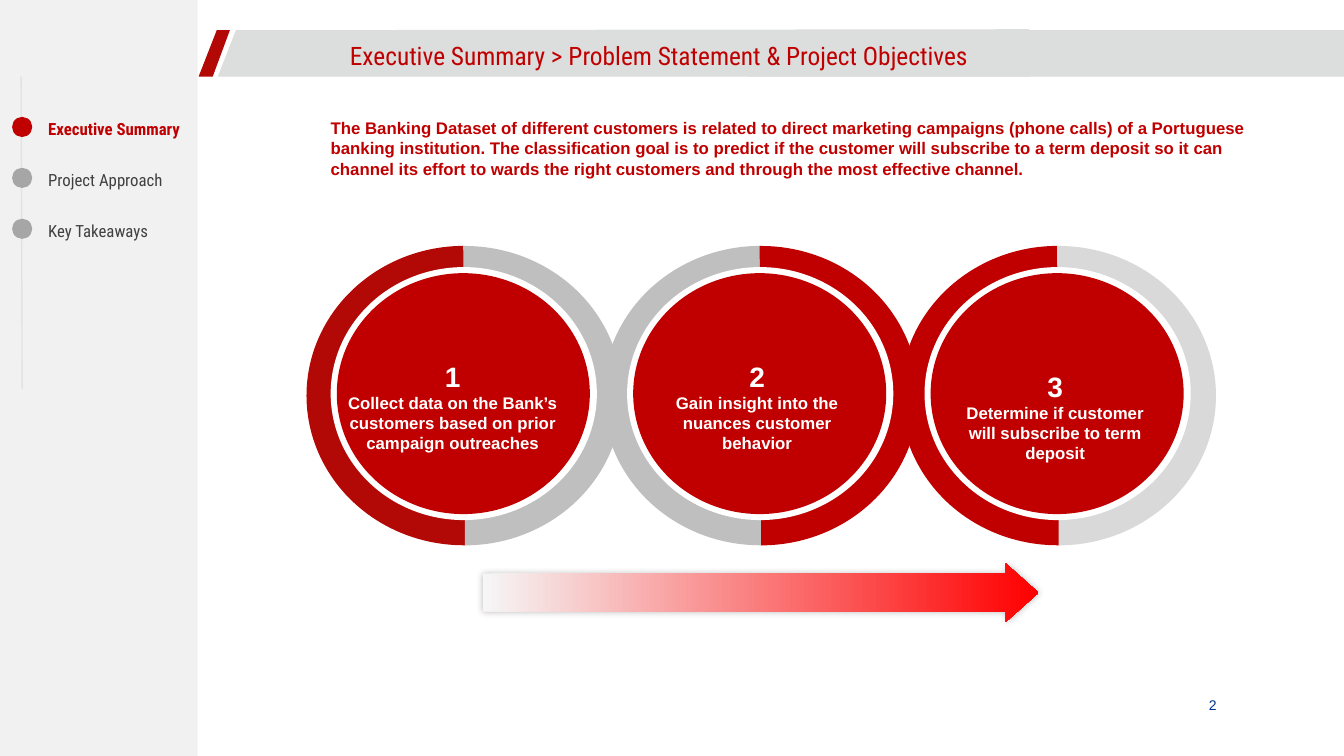
from dataclasses import dataclass

from lxml import etree
from pptx import Presentation
from pptx.dml.color import RGBColor
from pptx.enum.shapes import MSO_CONNECTOR, MSO_SHAPE
from pptx.enum.text import MSO_ANCHOR, MSO_AUTO_SIZE, PP_ALIGN
from pptx.oxml import parse_xml
from pptx.oxml.ns import nsdecls, qn
from pptx.util import Emu, Inches, Pt

RECT, ELLIPSE, PIE = MSO_SHAPE.RECTANGLE, MSO_SHAPE.OVAL, MSO_SHAPE.PIE
RIGHT_ARROW = MSO_SHAPE.RIGHT_ARROW
TOP, MIDDLE = MSO_ANCHOR.TOP, MSO_ANCHOR.MIDDLE
LEFT, CENTER = PP_ALIGN.LEFT, PP_ALIGN.CENTER


@dataclass(frozen=True)
class Theme:
    red: str = "C00000"
    dark_red: str = "B30906"
    bright_red: str = "FF0000"
    sidebar: str = "F1F1F1"
    band: str = "DCDDDD"
    grey: str = "A6A6A6"
    ring_grey: str = "BFBFBF"
    ring_light: str = "D9D9D9"
    fade: str = "F6F6F6"
    ink: str = "404040"
    navy: str = "00338D"
    white: str = "FFFFFF"
    heading_font: str = "Roboto Condensed"
    body_font: str = "Arial"
    title_size: float = 18.1
    number_size: float = 20
    body_size: float = 12
    page_size: float = 10


class SlideBuilder:
    def __init__(self, slide, theme):
        self.shapes = slide.shapes
        self.theme = theme

    def paint(self, shape, color):
        shape.shadow.inherit = False
        shape.fill.solid()
        shape.fill.fore_color.rgb = RGBColor.from_string(color)
        shape.line.fill.background()

    def shape(self, preset, box, color, rotation=0, adjustments=()):
        shape = self.shapes.add_shape(preset, *map(Inches, box))
        self.paint(shape, color)
        shape.rotation = rotation
        for index, value in enumerate(adjustments):
            shape.adjustments[index] = value
        return shape

    def outline(self, points, color):
        start, *rest = [(Inches(x), Inches(y)) for x, y in points]
        builder = self.shapes.build_freeform(*start)
        builder.add_line_segments(rest)
        self.paint(builder.convert_to_shape(), color)

    def faint_line(self, start, end, color, opacity):
        line = self.shapes.add_connector(
            MSO_CONNECTOR.STRAIGHT, *map(Inches, start + end))
        line.line.width = Pt(1)
        line.line.color.rgb = RGBColor.from_string(color)
        properties = line._element.spPr
        rgb = properties.find(".//" + qn("a:srgbClr"))
        etree.SubElement(rgb, qn("a:alpha"), val=str(opacity * 1000))
        etree.SubElement(properties, qn("a:effectLst"))

    def fading_arrow(self, box, start_color, end_color, adjustments):
        arrow = self.shape(RIGHT_ARROW, box, end_color, adjustments=adjustments)
        arrow.fill.gradient()
        arrow.fill.gradient_angle = 0
        colors = (start_color, end_color)
        for position, (stop, color) in enumerate(zip(arrow.fill.gradient_stops, colors)):
            stop.position = position
            stop.color.rgb = RGBColor.from_string(color)
        effects = arrow._element.spPr.find(qn("a:effectLst"))
        effects.append(parse_xml(
            f'<a:outerShdw {nsdecls("a")} blurRad="63500" dist="0" algn="ctr" '
            'rotWithShape="0"><a:srgbClr val="000000"><a:alpha val="25000"/>'
            '</a:srgbClr></a:outerShdw>'))

    def text(self, box, lines, color, size, font, bold=False, align=LEFT,
             anchor=TOP, insets=(0, 0, 0, 0), wrap=True, grow=False):
        frame = self.shapes.add_textbox(*map(Inches, box)).text_frame
        frame.word_wrap = wrap
        frame.auto_size = MSO_AUTO_SIZE.SHAPE_TO_FIT_TEXT if grow else MSO_AUTO_SIZE.NONE
        frame.vertical_anchor = anchor
        (frame.margin_left, frame.margin_top,
         frame.margin_right, frame.margin_bottom) = map(Inches, insets)
        frame.text = "\n".join(lines)
        for paragraph in frame.paragraphs:
            paragraph.alignment = align
            paragraph.font.name = font
            paragraph.font.size = Pt(size)
            paragraph.font.bold = bold
            paragraph.font.color.rgb = RGBColor.from_string(color)
        return frame

    def header(self, title):
        theme = self.theme
        self.outline([(2.16, 0.76), (2.34, 0.3), (10.21, 0.29), (10.21, 0.76)], theme.band)
        self.outline([(2.15, 0.3), (2.28, 0.3), (2.11, 0.76), (1.97, 0.76)], theme.dark_red)
        self.shape(RECT, (7.42, 0.3, 5.91, 0.46), theme.band)
        self.text((3.47, 0.39, 8.19, 0.32), [title], theme.red, theme.title_size,
                  theme.heading_font, anchor=MIDDLE, insets=(0, 0.05, 0.1, 0.05))

    def agenda(self, entries, current):
        theme = self.theme
        self.faint_line((0.21, 0.76), (0.22, 3.86), theme.grey, 20)
        for index, entry in enumerate(entries):
            active = entry == current
            top = 1.13 + index * 0.505
            self.text((0.38, top, 1.57, 0.3), [entry], theme.red if active else theme.ink,
                      theme.body_size, theme.heading_font, bold=active,
                      insets=(0.1, 0.05, 0.1, 0.05), wrap=False, grow=True)
            self.shape(ELLIPSE, (0.12, top + 0.03, 0.2, 0.2),
                       theme.red if active else theme.grey)

    def ring(self, left, left_color, right_color):
        """Two half discs with a white centre, open for an inner disc."""
        half = (53.625, 162)
        self.shape(PIE, (left, 2.44, 3.12, 2.97), left_color, 0, half)
        self.shape(PIE, (left + 0.01, 2.44, 3.12, 2.97), right_color, 180, half)
        self.shape(ELLIPSE, (left + 0.24, 2.65, 2.64, 2.51), self.theme.white)

    def objective(self, ring_left, box, lines, number_shift):
        """Inner disc with a numbered text; number_shift moves the number left."""
        theme = self.theme
        self.shape(ELLIPSE, (ring_left + 0.3, 2.71, 2.51, 2.39), theme.red)
        frame = self.text(box, lines, theme.white, theme.body_size, theme.body_font,
                          bold=True, align=CENTER, anchor=MIDDLE, grow=True)
        number = frame.paragraphs[0]
        number.font.size = Pt(theme.number_size)
        number._p.get_or_add_pPr().set("marR", str(Emu(Inches(2 * number_shift))))


def main():
    theme = Theme()
    deck = Presentation()
    deck.slide_width, deck.slide_height = Inches(13.33), Inches(7.5)
    page = SlideBuilder(deck.slides.add_slide(deck.slide_layouts[6]), theme)

    page.shape(RECT, (0, 0, 1.96, 7.5), theme.sidebar)
    page.header("Executive Summary > Problem Statement & Project Objectives")
    page.agenda(["Executive Summary", "Project Approach", "Key Takeaways"],
                "Executive Summary")

    introduction = (
        "The Banking Dataset of different customers is related to direct marketing "
        "campaigns (phone calls) of a Portuguese banking institution. The classification "
        "goal is to predict if the customer will subscribe to a term deposit so it can "
        "channel its effort to wards the right customers and through the most effective "
        "channel.")
    page.text((3.08, 1.13, 9.36, 1.02), [introduction], theme.red, theme.body_size,
              theme.body_font, bold=True, insets=(0.2, 0.04, 0.08, 0.04))
    page.text((11.99, 6.91, 0.28, 0.17), ["2"], theme.navy, theme.page_size, theme.body_font)
    page.fading_arrow((4.79, 5.59, 5.51, 0.58), theme.fade, theme.bright_red, (0.65, 0.56))

    rings = [(3.04, theme.dark_red, theme.ring_grey),
             (5.98, theme.ring_grey, theme.red),
             (8.93, theme.red, theme.ring_light)]
    for ring in reversed(rings):
        page.ring(*ring)

    objectives = [
        ((3.34, 3.56, 2.42, 0.94),
         ["1", "Collect data on the Bank’s", "customers based on prior campaign outreaches"], 0.06),
        ((6.53, 3.56, 2.1, 0.94),
         ["2", "Gain insight into the", "nuances customer behavior"], 0.07),
        ((9.46, 3.76, 2.09, 0.74),
         ["3", "Determine if customer will subscribe to term deposit"], 0.04),
    ]
    for (ring_left, *_), objective in zip(rings, objectives):
        page.objective(ring_left, *objective)

    deck.save("out.pptx")


if __name__ == "__main__":
    main()
